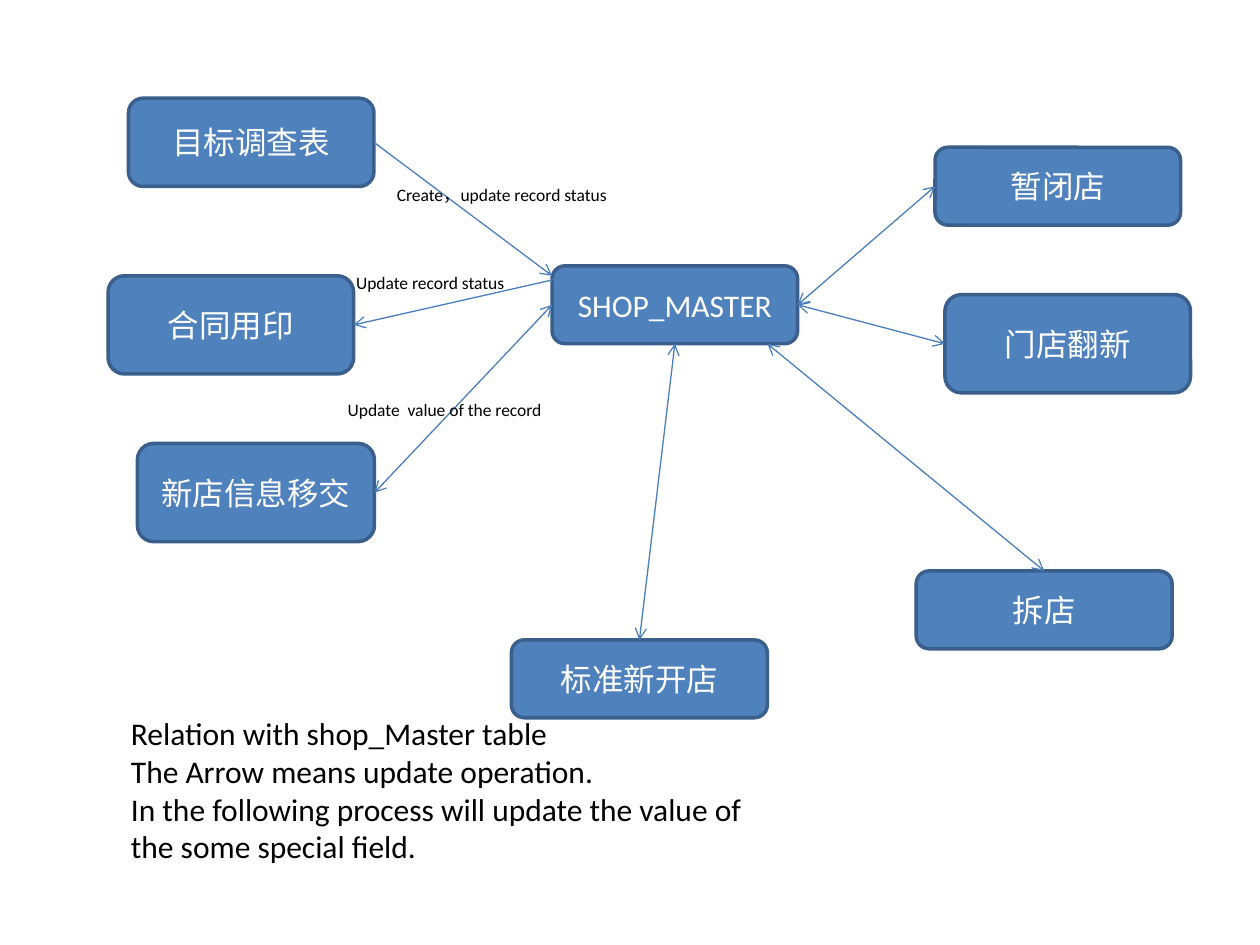
"""Build the slide that relates shop processes to the SHOP_MASTER table."""
from lxml.etree import SubElement
from pptx import Presentation
from pptx.dml.color import RGBColor
from pptx.enum.shapes import MSO_CONNECTOR, MSO_SHAPE
from pptx.enum.text import MSO_ANCHOR, PP_ALIGN
from pptx.oxml.ns import qn
from pptx.util import Cm, Pt

COLORS = {"box": "4F81BD", "border": "3A5F8C", "arrow": "4B7EBC",
          "light": "FFFFFF", "dark": "000000"}
FONT = "Calibri"
TOP, LEFT, BOTTOM, RIGHT = range(4)

BOXES = {
    "目标调查表": (2.59, 1.98, 4.95, 1.78),
    "合同用印": (2.18, 5.56, 4.95, 1.98),
    "新店信息移交": (2.77, 8.94, 4.78, 1.98),
    "SHOP_MASTER": (11.13, 5.36, 4.95, 1.57),
    "标准新开店": (10.31, 12.9, 5.16, 1.57),
    "暂闭店": (18.85, 2.97, 4.95, 1.57),
    "门店翻新": (19.05, 5.94, 4.95, 1.98),
    "拆店": (18.47, 11.51, 5.16, 1.57),
}

ONE_WAY, TWO_WAY = ("tailEnd",), ("headEnd", "tailEnd")
ARROWS = [
    (("目标调查表", RIGHT), (11.13, 5.56), ONE_WAY),
    (("SHOP_MASTER", BOTTOM), ("标准新开店", TOP), TWO_WAY),
    ((15.47, 6.93), ("拆店", TOP), TWO_WAY),
    (("SHOP_MASTER", RIGHT), ("门店翻新", LEFT), TWO_WAY),
    (("SHOP_MASTER", RIGHT), ("暂闭店", LEFT), TWO_WAY),
    (("合同用印", RIGHT), (11.51, 5.56), TWO_WAY),
    (("新店信息移交", RIGHT), ("SHOP_MASTER", LEFT), TWO_WAY),
]

NOTES = [
    ((2.39, 14.27, 13.49, 3.33), 18, [
        "Relation with shop_Master table",
        "The Arrow means update operation.",
        "In the following process will update the value of the some special field.",
    ]),
    ((7.75, 3.58, 4.85, 0.69), 10, ["Create，update record status"]),
    ((6.93, 5.36, 3.56, 0.69), 10, ["Update record status"]),
    ((6.76, 7.92, 4.57, 0.69), 10, ["Update  value of the record"]),
]


def color(name):
    return RGBColor.from_string(COLORS[name])


def write(frame, lines, size, color_name, alignment=PP_ALIGN.LEFT):
    frame.word_wrap = True
    for index, line in enumerate(lines):
        paragraph = frame.add_paragraph() if index else frame.paragraphs[0]
        paragraph.alignment = alignment
        run = paragraph.add_run()
        run.text = line
        run.font.name = FONT
        run.font.size = Pt(size)
        run.font.color.rgb = color(color_name)


def add_box(slide, label, place):
    shape = slide.shapes.add_shape(MSO_SHAPE.ROUNDED_RECTANGLE, *map(Cm, place))
    shape.shadow.inherit = False
    shape.fill.solid()
    shape.fill.fore_color.rgb = color("box")
    shape.line.color.rgb = color("border")
    shape.line.width = Pt(2)
    shape.text_frame.vertical_anchor = MSO_ANCHOR.MIDDLE
    write(shape.text_frame, [label], 18, "light", PP_ALIGN.CENTER)
    return shape


def add_arrow(slide, boxes, start, end, heads):
    connector = slide.shapes.add_connector(MSO_CONNECTOR.STRAIGHT, 0, 0, 0, 0)
    if start[0] in boxes:
        connector.begin_connect(boxes[start[0]], start[1])
    else:
        connector.begin_x, connector.begin_y = map(Cm, start)
    if end[0] in boxes:
        connector.end_connect(boxes[end[0]], end[1])
    else:
        connector.end_x, connector.end_y = map(Cm, end)
    connector.line.color.rgb = color("arrow")
    connector.line.width = Pt(0.75)
    properties = connector.element.spPr
    outline = properties.find(qn("a:ln"))
    for head in heads:
        SubElement(outline, qn(f"a:{head}"), type="arrow")
    SubElement(properties, qn("a:effectLst"))


def main():
    presentation = Presentation()
    presentation.slide_width, presentation.slide_height = Cm(25.4), Cm(19.05)
    slide = presentation.slides.add_slide(presentation.slide_layouts[6])
    boxes = {label: add_box(slide, label, place) for label, place in BOXES.items()}
    for start, end, heads in ARROWS:
        add_arrow(slide, boxes, start, end, heads)
    for place, size, lines in NOTES:
        text_box = slide.shapes.add_textbox(*map(Cm, place))
        write(text_box.text_frame, lines, size, "dark")
    presentation.save("out.pptx")


if __name__ == "__main__":
    main()
